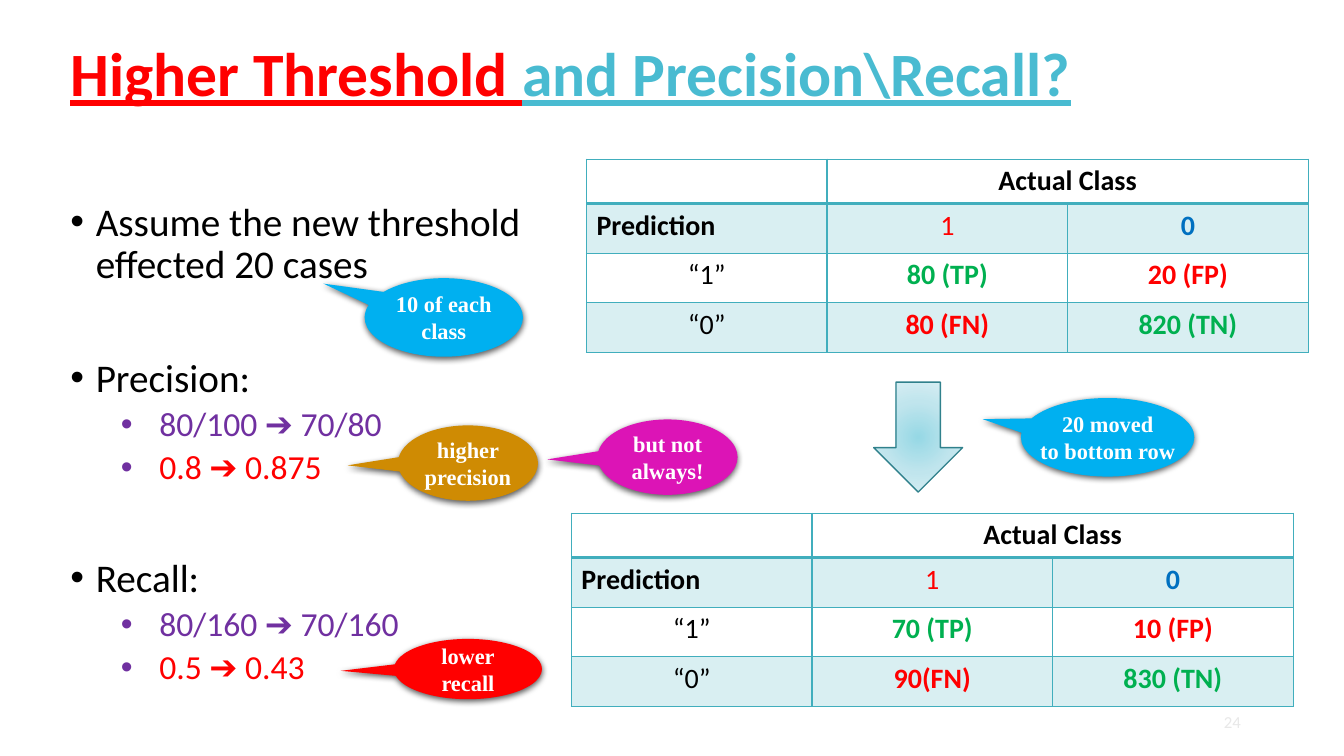
from lxml import etree
from pptx import Presentation
from pptx.dml.color import RGBColor
from pptx.enum.shapes import MSO_SHAPE as Shape
from pptx.enum.text import MSO_ANCHOR as Anchor, MSO_AUTO_SIZE as Fit, PP_ALIGN as Align
from pptx.oxml import parse_xml
from pptx.oxml.ns import qn
from pptx.util import Cm, Pt

NS = 'xmlns:a="http://schemas.openxmlformats.org/drawingml/2006/main"'
RED, GREEN, BLUE, BLACK = "FF0000", "00B050", "0070C0", "000000"
WHITE, PURPLE, SKY = "FFFFFF", "7030A0", "00B0F0"
TEAL, TINT = "41AEBD", "D9EFF2"


def tone(hue):
    return RGBColor.from_string(hue)


def style(font, size, hue, bold=False, name="Calibri"):
    font.name, font.size, font.bold = name, Pt(size), bold
    font.color.rgb = tone(hue)


def place(shape, box):
    shape.left, shape.top, shape.width, shape.height = (Cm(n) for n in box)


# Title with a red and a teal part
def add_title(slide, box):
    title = slide.shapes.title
    place(title, box)
    frame = title.text_frame
    frame.auto_size, frame.vertical_anchor = Fit.NONE, Anchor.MIDDLE
    para = frame.paragraphs[0]
    para.alignment, para.line_spacing = Align.LEFT, 0.9
    for text, hue in (("Higher Threshold ", RED), ("and Precision\\Recall?", "49BBD1")):
        run = para.add_run()
        run.text = text
        style(run.font, 44, hue, True)
        run.font.underline = True


# Bulleted list on the left
def add_list(slide, box, items):
    body = slide.placeholders[1]
    place(body, box)
    frame = body.text_frame
    frame.auto_size, frame.vertical_anchor = Fit.NONE, Anchor.TOP
    frame.margin_top = Cm(1.57)
    for i, (level, text, hue) in enumerate(items):
        para = frame.add_paragraph() if i else frame.paragraphs[0]
        para.text, para.level = text, level
        para.alignment, para.line_spacing = Align.LEFT, 0.9
        para.space_after = Pt(0)
        para.space_before = Pt(5 if level else 50.8 if i else 0)
        props = para._p.get_or_add_pPr()
        left, hang = ((2.24, 0.97), (0.64, 0.64))[1 - level]
        props.set("marL", str(Cm(left)))
        props.set("indent", str(-Cm(hang)))
        dot = PURPLE if level else BLACK
        for part in (f'<a:buClr {NS}><a:srgbClr val="{dot}"/></a:buClr>',
                     f'<a:buFont {NS} typeface="Arial"/>',
                     f'<a:buChar {NS} char="•"/>'):
            props.append(parse_xml(part))
        style(para.font, 24 if level else 28, hue)


def edge(cell, side, width):
    props = cell._tc.get_or_add_tcPr()
    line = etree.SubElement(props, qn(f"a:ln{side}"), w=str(Pt(width)))
    fill = etree.SubElement(line, qn("a:solidFill"))
    etree.SubElement(fill, qn("a:srgbClr"), val=TEAL)


# Confusion matrix: tp, fp, fn and tn as shown
def add_matrix(slide, box, tp, fp, fn, tn):
    left, top, width, height = (Cm(n) for n in box)
    table = slide.shapes.add_table(4, 3, left, top, width, height).table
    table.first_row = table.horz_banding = False
    rows = (
        (("", BLACK, True), ("Actual Class", BLACK, True), ("", BLACK, True)),
        (("Prediction", BLACK, True), ("1", RED, False), ("0", BLUE, True)),
        (("“1”", BLACK, False), (tp, GREEN, True), (fp, RED, True)),
        (("“0”", BLACK, False), (fn, RED, True), (tn, GREEN, True)),
    )
    for col in table.columns:
        col.width = width // 3
    table.cell(0, 1).merge(table.cell(0, 2))
    for r, row in enumerate(rows):
        table.rows[r].height = Cm(1.25 if r else 1.12)
        for c, (text, hue, bold) in enumerate(row):
            cell = table.cell(r, c)
            for side in "LRTB":
                thick = (r, side) in ((0, "B"), (1, "T"))
                edge(cell, side, 2 if thick else 1)
            if r % 2:
                cell.fill.solid()
                cell.fill.fore_color.rgb = tone(TINT)
            else:
                cell.fill.background()
            para = cell.text_frame.paragraphs[0]
            para.text = text
            para.alignment = Align.LEFT if (r, c) == (1, 0) else Align.CENTER
            style(para.font, 20, hue, bold)


# Arrow between the two tables
def add_arrow(slide, box):
    arrow = slide.shapes.add_shape(Shape.DOWN_ARROW, *(Cm(n) for n in box))
    arrow.shadow.inherit = False
    arrow.line.color.rgb, arrow.line.width = tone("30818C"), Pt(1)
    stops = "".join(f'<a:gs pos="{pos}000"><a:srgbClr val="{hue}"/></a:gs>'
                    for pos, hue in ((0, "96D8E5"), (50, "C0E5ED"), (100, "E0F2F6")))
    fill = parse_xml(
        f'<a:gradFill {NS} rotWithShape="1"><a:gsLst>{stops}</a:gsLst><a:path path="circle">'
        '<a:fillToRect l="50000" t="50000" r="50000" b="50000"/></a:path></a:gradFill>')
    arrow._element.spPr.find(qn("a:prstGeom")).addnext(fill)


# Speech bubble with a soft shadow
def add_bubble(slide, box, tip, hue, lines):
    bubble = slide.shapes.add_shape(Shape.OVAL_CALLOUT, *(Cm(n) for n in box))
    bubble.adjustments[0], bubble.adjustments[1] = tip
    bubble.fill.solid()
    bubble.fill.fore_color.rgb = tone(hue)
    bubble.line.fill.background()
    bubble.shadow.inherit = False
    glow = bubble._element.spPr.find(qn("a:effectLst"))
    glow.append(parse_xml(
        f'<a:outerShdw {NS} blurRad="{Pt(4.5)}" dist="{Pt(1.5)}" dir="5400000" '
        'rotWithShape="0"><a:srgbClr val="000000"><a:alpha val="63000"/></a:srgbClr>'
        '</a:outerShdw>'))
    frame = bubble.text_frame
    frame.word_wrap, frame.vertical_anchor = False, Anchor.MIDDLE
    for i, text in enumerate(lines):
        para = frame.add_paragraph() if i else frame.paragraphs[0]
        para.text, para.alignment = text, Align.CENTER
        style(para.font, 16, WHITE, True, "Times New Roman")


# Faint page number
def add_page(slide, box, text):
    frame = slide.shapes.add_textbox(*(Cm(n) for n in box)).text_frame
    frame.word_wrap, frame.vertical_anchor = True, Anchor.MIDDLE
    para = frame.paragraphs[0]
    para.text, para.alignment = text, Align.RIGHT
    style(para.font, 12, "E8E8E8")


def main():
    deck = Presentation()
    deck.slide_width, deck.slide_height = Cm(33.87), Cm(19.05)
    slide = deck.slides.add_slide(deck.slide_layouts[1])

    add_title(slide, (1.52, 0, 31.45, 3.86))
    add_list(slide, (1.52, 3.53, 12.45, 14.4), (
        (0, "Assume the new threshold effected 20 cases", BLACK),
        (0, "Precision:", BLACK),
        (1, "80/100 ➔ 70/80", PURPLE),
        (1, "0.8 ➔ 0.875", RED),
        (0, "Recall:", BLACK),
        (1, "80/160 ➔ 70/160", PURPLE),
        (1, "0.5 ➔ 0.43", RED),
    ))
    add_page(slide, (28.5, 17.69, 3.02, 1), "24")
    add_matrix(slide, (14.78, 4.01, 18.19, 4.87),
               "80 (TP)", "20 (FP)", "80 (FN)", "820 (TN)")
    add_arrow(slide, (22.02, 9.63, 2.24, 2.77))
    add_matrix(slide, (14.4, 12.93, 18.19, 4.87),
               "70 (TP)", "10 (FP)", "90(FN)", "830 (TN)")

    side = (-0.86, 0.03)
    for box, tip, hue, lines in (
        ((10.03, 10.72, 3.53, 1.9), side, "CF8B03", ("higher", "precision")),
        ((9.93, 16.1, 3.73, 1.52), side, RED, ("lower", "recall")),
        ((9.19, 7.01, 3.99, 1.98), (-0.76, -0.43), SKY, ("10 of each", "class")),
        ((25.73, 10.03, 4.37, 1.98), (-0.72, -0.23), SKY, ("20 moved", "to bottom row")),
        ((15.06, 10.57, 3.53, 1.9), side, "DC14B6", ("but not", "always!")),
    ):
        add_bubble(slide, box, tip, hue, lines)

    deck.save("out.pptx")


if __name__ == "__main__":
    main()
